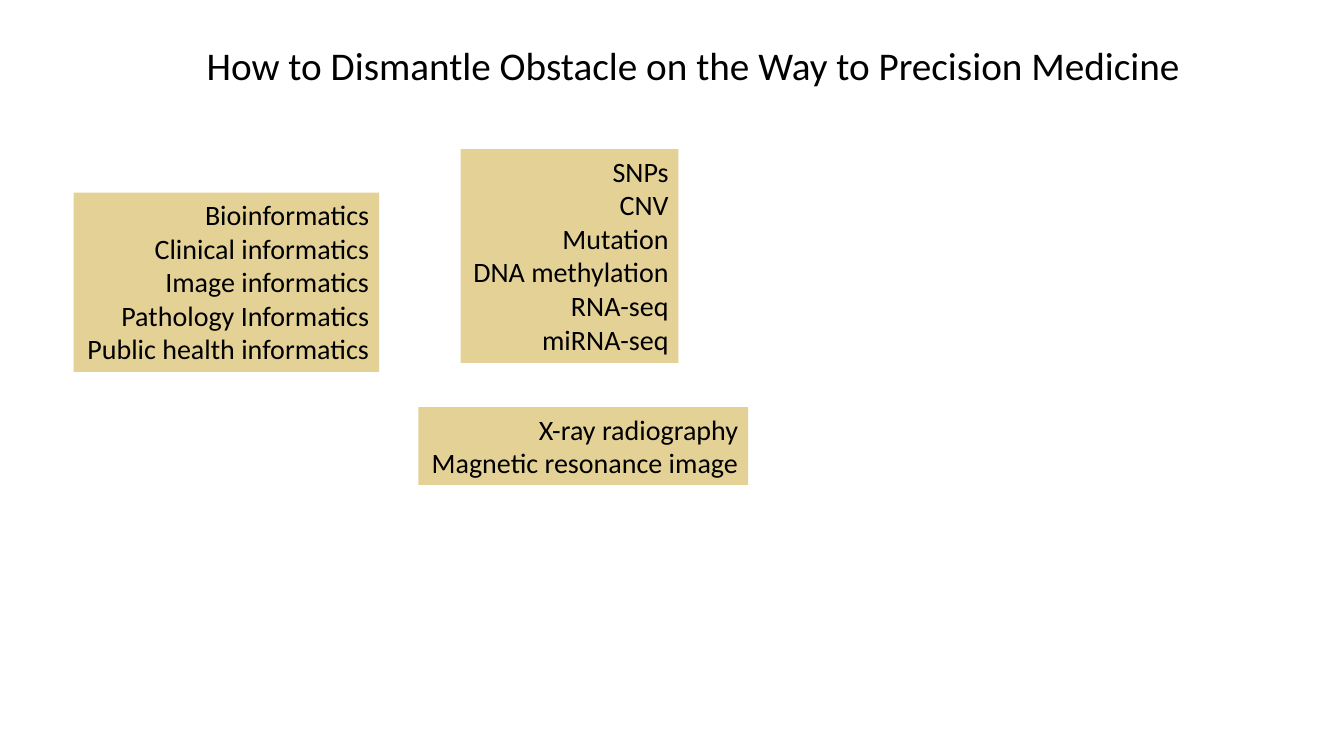
from lxml import etree
from pptx import Presentation
from pptx.dml.color import RGBColor
from pptx.enum.shapes import MSO_SHAPE
from pptx.enum.text import MSO_ANCHOR, MSO_AUTO_SIZE, PP_ALIGN
from pptx.oxml.ns import qn
from pptx.util import Inches, Pt

RECTANGLE = MSO_SHAPE.RECTANGLE
TOP = MSO_ANCHOR.TOP
GROW = MSO_AUTO_SIZE.SHAPE_TO_FIT_TEXT
LEFT, RIGHT = PP_ALIGN.LEFT, PP_ALIGN.RIGHT

COLOURS = {"gold": "BF9000", "text": "000000"}
GOLD_ALPHA = 41
FRAME_FORMAT = {"word_wrap": True, "auto_size": GROW, "vertical_anchor": TOP}
HEADING_FONT = {"name": "Calibri", "size": Pt(28)}
TOPIC_FONT = {"name": "Calibri", "size": Pt(20)}

HEADING = "How to Dismantle Obstacle on the Way to Precision Medicine"
HEADING_BOX = (1.95, 0.36, 9.99, 0.57)
TOPIC_GROUPS = [
    ((0.73, 1.91, 3.03, 1.78),
     ["Bioinformatics", "Clinical informatics", "Image informatics",
      "Pathology Informatics", "Public health informatics"]),
    ((4.57, 1.48, 2.16, 2.12),
     ["SNPs", "CNV", "Mutation", "DNA methylation", "RNA-seq", "miRNA-seq"]),
    ((4.15, 4.04, 3.27, 0.77),
     ["X-ray radiography", "Magnetic resonance image"]),
]


def apply_format(target, values):
    """Set each named attribute on the target."""
    for name, value in values.items():
        setattr(target, name, value)


def write_lines(frame, lines, font_format, alignment):
    """Fill a text frame with one formatted paragraph per line."""
    frame.text = "\n".join(lines)
    apply_format(frame, FRAME_FORMAT)
    for line in frame.paragraphs:
        line.alignment = alignment
        apply_format(line.font, font_format)
        line.font.color.rgb = RGBColor.from_string(COLOURS["text"])


def place_heading(slide, box):
    """Move the title placeholder into the box and write the heading."""
    heading = slide.shapes.title
    sides = ("left", "top", "width", "height")
    apply_format(heading, dict(zip(sides, map(Inches, box))))
    write_lines(heading.text_frame, [HEADING], HEADING_FONT, LEFT)


def add_topic_group(slide, box, topics):
    """Draw a translucent gold panel listing the topics."""
    panel = slide.shapes.add_shape(RECTANGLE, *map(Inches, box))
    panel.shadow.inherit = False
    panel.line.fill.background()
    panel.fill.solid()
    panel.fill.fore_color.rgb = RGBColor.from_string(COLOURS["gold"])
    gold = panel.fill._xPr.find(qn("a:solidFill"))[0]
    etree.SubElement(gold, qn("a:alpha"), val=str(GOLD_ALPHA * 1000))
    write_lines(panel.text_frame, topics, TOPIC_FONT, RIGHT)


def main():
    """Build and save the slide."""
    deck = Presentation()
    deck.slide_width, deck.slide_height = Inches(13.33), Inches(7.5)
    slide = deck.slides.add_slide(deck.slide_layouts.get_by_name("Title Only"))
    place_heading(slide, HEADING_BOX)
    for box, topics in TOPIC_GROUPS:
        add_topic_group(slide, box, topics)
    deck.save("out.pptx")


if __name__ == "__main__":
    main()
